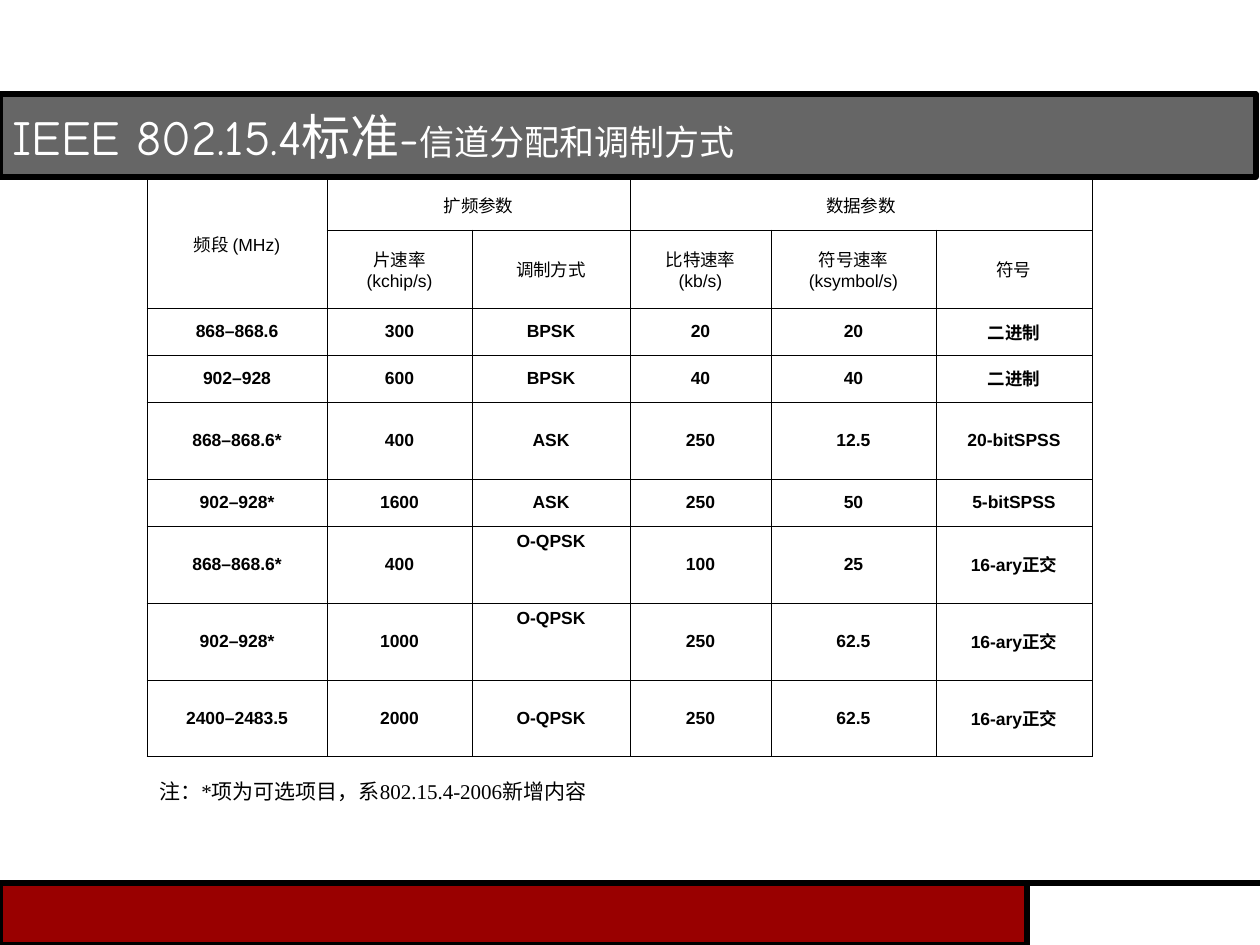
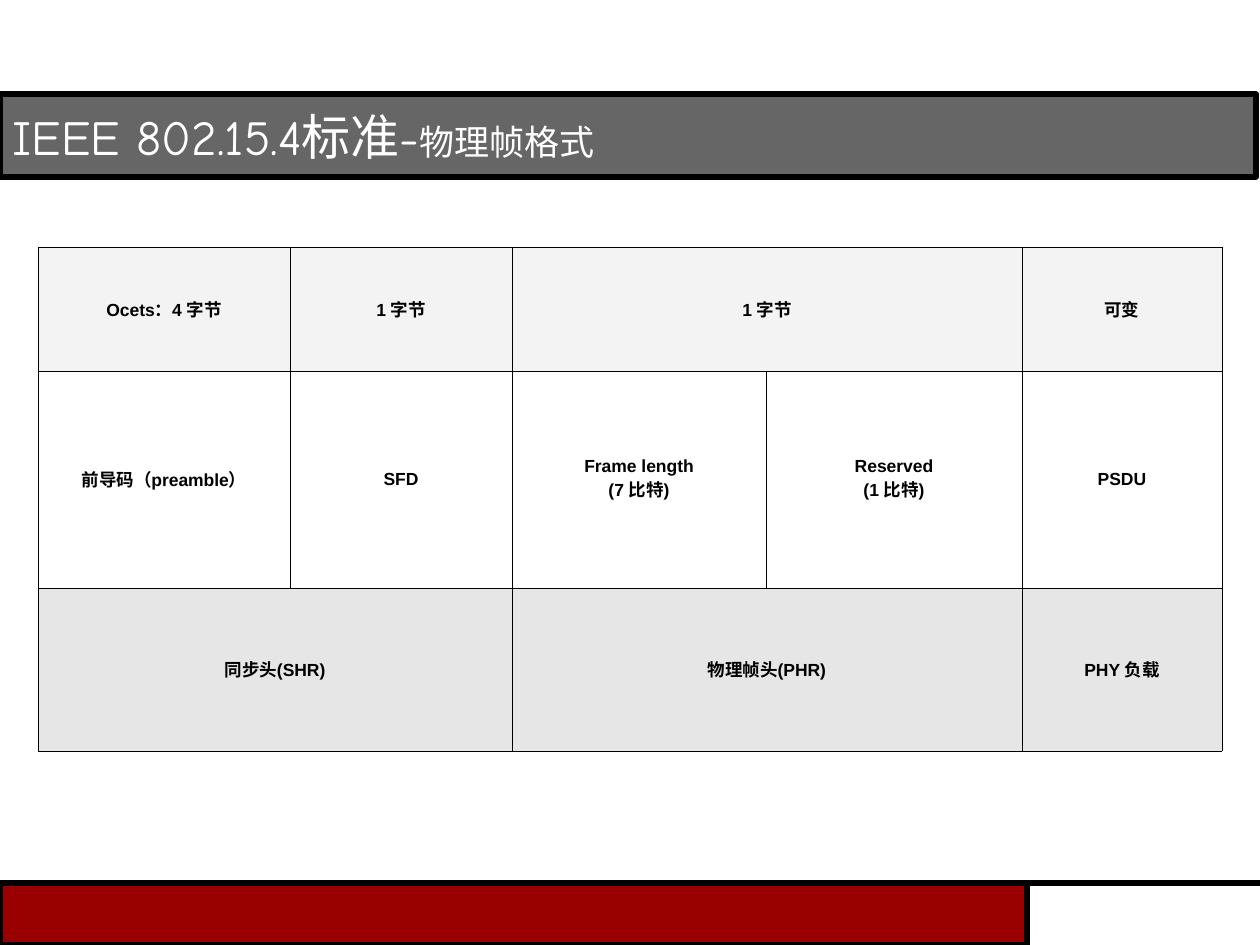
from dataclasses import dataclass

from lxml import etree
from pptx import Presentation
from pptx.dml.color import RGBColor
from pptx.enum.shapes import MSO_CONNECTOR, MSO_SHAPE
from pptx.enum.text import MSO_ANCHOR, MSO_AUTO_SIZE, PP_ALIGN
from pptx.oxml.ns import qn
from pptx.util import Pt

EMU_PER_PX = 914400 / 126
SLIDE_WIDTH, SLIDE_HEIGHT = 1260, 945
TITLE_ONLY = 5
RECTANGLE = MSO_SHAPE.RECTANGLE
STRAIGHT = MSO_CONNECTOR.STRAIGHT
MIDDLE, TOP = MSO_ANCHOR.MIDDLE, MSO_ANCHOR.TOP
LEFT, CENTER = PP_ALIGN.LEFT, PP_ALIGN.CENTER
NO_AUTOFIT, FIT_SHAPE = MSO_AUTO_SIZE.NONE, MSO_AUTO_SIZE.SHAPE_TO_FIT_TEXT


@dataclass(frozen=True)
class Theme:
    title_font: str = "Comic Neue"
    table_font: str = "Arial"
    note_font: str = "Times New Roman"
    title_size: float = 28
    subtitle_size: float = 20
    table_size: float = 10
    note_size: float = 12
    band_line: float = 3
    table_line: float = 0.45
    black: str = "000000"
    white: str = "FFFFFF"
    title_band: str = "666666"
    footer_band: str = "990000"
    light_gray: str = "F3F3F3"
    middle_gray: str = "E6E6E6"


THEME = Theme()

TITLE_BOX = (0, 94, 1256, 83)
FOOTER_BOX = (0, 883, 1027, 62)
FOOTER_RULE_START = 202

CHANNEL_BOX = (147, 179)
CHANNEL_COLUMNS = [180, 145, 158, 141, 165, 156]
SHORT_ROW, TALL_ROW = 47, 77
CHANNEL_ROWS = [51, 78, SHORT_ROW, SHORT_ROW, TALL_ROW, SHORT_ROW] + [TALL_ROW] * 3
CHANNEL_HEADER_ROWS = 2
CHANNEL_SPANS = [(0, 0, 2, 1), (0, 1, 1, 2), (0, 3, 1, 3)]
CHANNEL_TOP_CELLS = [(6, 2), (7, 2)]
CHANNEL_CELLS = [
    ["频段 (MHz)", "扩频参数", None, "数据参数", None, None],
    [None, "片速率 (kchip/s)", "调制方式", "比特速率 (kb/s)", "符号速率 (ksymbol/s)", "符号"],
    ["868–868.6", "300", "BPSK", "20", "20", "二进制"],
    ["902–928", "600", "BPSK", "40", "40", "二进制"],
    ["868–868.6*", "400", "ASK", "250", "12.5", "20-bitSPSS"],
    ["902–928*", "1600", "ASK", "250", "50", "5-bitSPSS"],
    ["868–868.6*", "400", "O-QPSK", "100", "25", "16-ary正交"],
    ["902–928*", "1000", "O-QPSK", "250", "62.5", "16-ary正交"],
    ["2400–2483.5", "2000", "O-QPSK", "250", "62.5", "16-ary正交"],
]
NOTE_BOX = (147, 772, 472, 38)
NOTE = "注：*项为可选项目，系802.15.4-2006新增内容"

FRAME_BOX = (38, 247)
FRAME_COLUMNS = [252, 222, 254, 256, 200]
FRAME_ROWS = [124, 217, 163]
FRAME_SPANS = [(0, 2, 1, 2), (2, 0, 1, 2), (2, 2, 1, 2)]
FRAME_FILLS = [THEME.light_gray, None, THEME.middle_gray]
FRAME_CELLS = [
    ["Ocets：4 字节", "1 字节", "1 字节", None, "可变"],
    ["前导码（preamble）", "SFD", "Frame length\n(7 比特)", "Reserved\n(1 比特)", "PSDU"],
    ["同步头(SHR)", None, "物理帧头(PHR)", None, "PHY 负载"],
]


def px(*lengths):
    return [round(length * EMU_PER_PX) for length in lengths]


def color(value):
    return RGBColor.from_string(value)


def add_run(paragraph, text, font, size, text_color, bold=False):
    run = paragraph.add_run()
    run.text = text
    run.font.name = font
    run.font.size = Pt(size)
    run.font.bold = bold
    run.font.color.rgb = color(text_color)


def paint_band(shape, fill):
    shape.fill.solid()
    shape.fill.fore_color.rgb = color(fill)
    set_band_line(shape)


def set_band_line(shape):
    shape.line.color.rgb = color(THEME.black)
    shape.line.width = Pt(THEME.band_line)


def add_footer(slide, box):
    """Draw the footer on the slide, then move it to the layout all slides share."""
    left, top, width, height = box
    rule = slide.shapes.add_connector(
        STRAIGHT, *px(SLIDE_WIDTH, top, FOOTER_RULE_START, top))
    set_band_line(rule)
    etree.SubElement(rule.element.spPr, qn("a:effectLst"))
    band = slide.shapes.add_shape(RECTANGLE, *px(left, top, width, height))
    band.shadow.inherit = False
    paint_band(band, THEME.footer_band)
    for shape in (rule, band):
        slide.slide_layout.shapes.element.append(shape.element)


def set_title(slide, box, subtitle):
    title = slide.shapes.title
    title.left, title.top, title.width, title.height = px(*box)
    paint_band(title, THEME.title_band)
    frame = title.text_frame
    frame.word_wrap = True
    frame.auto_size = NO_AUTOFIT
    frame.vertical_anchor = MIDDLE
    paragraph = frame.paragraphs[0]
    paragraph.alignment = LEFT
    for text, size in (("IEEE 802.15.4标准-", THEME.title_size),
                       (subtitle, THEME.subtitle_size)):
        add_run(paragraph, text, THEME.title_font, size, THEME.white)


def set_borders(graphic_frame):
    for properties in graphic_frame.element.iter(qn("a:tcPr")):
        for position, side in enumerate(("lnL", "lnR", "lnT", "lnB")):
            line = etree.Element(qn(f"a:{side}"), w=str(Pt(THEME.table_line)))
            fill = etree.SubElement(line, qn("a:solidFill"))
            etree.SubElement(fill, qn("a:srgbClr"), val=THEME.black)
            properties.insert(position, line)


def write_cell(cell, text, bold):
    frame = cell.text_frame
    for index, line in enumerate(text.split("\n")):
        paragraph = frame.add_paragraph() if index else frame.paragraphs[0]
        paragraph.alignment = CENTER
        add_run(paragraph, line, THEME.table_font, THEME.table_size, THEME.black, bold)


def add_grid(slide, box, columns, rows, cells, spans, fills, header_rows=0, top_cells=()):
    """Add a ruled table; rows below header_rows are bold, top_cells hang from the top."""
    graphic_frame = slide.shapes.add_table(
        len(rows), len(columns), *px(*box, sum(columns), sum(rows)))
    table = graphic_frame.table
    table.first_row = table.horz_banding = False
    for column, width in zip(table.columns, px(*columns)):
        column.width = width
    for row, height in zip(table.rows, px(*rows)):
        row.height = height
    for row, column, height, width in spans:
        table.cell(row, column).merge(table.cell(row + height - 1, column + width - 1))
    for row, texts in enumerate(cells):
        for column, text in enumerate(texts):
            cell = table.cell(row, column)
            cell.vertical_anchor = TOP if (row, column) in top_cells else MIDDLE
            if fills[row]:
                cell.fill.solid()
                cell.fill.fore_color.rgb = color(fills[row])
            else:
                cell.fill.background()
            if text:
                write_cell(cell, text, row >= header_rows)
    set_borders(graphic_frame)


def add_note(slide, box, text):
    frame = slide.shapes.add_textbox(*px(*box)).text_frame
    frame.word_wrap = False
    frame.auto_size = FIT_SHAPE
    frame.vertical_anchor = MIDDLE
    add_run(frame.paragraphs[0], text, THEME.note_font, THEME.note_size, THEME.black)


def build_channel_slide(slide):
    set_title(slide, TITLE_BOX, "信道分配和调制方式")
    add_grid(slide, CHANNEL_BOX, CHANNEL_COLUMNS, CHANNEL_ROWS, CHANNEL_CELLS,
             CHANNEL_SPANS, [None] * len(CHANNEL_ROWS),
             CHANNEL_HEADER_ROWS, CHANNEL_TOP_CELLS)
    add_note(slide, NOTE_BOX, NOTE)


def build_frame_slide(slide):
    set_title(slide, TITLE_BOX, "物理帧格式")
    add_grid(slide, FRAME_BOX, FRAME_COLUMNS, FRAME_ROWS, FRAME_CELLS,
             FRAME_SPANS, FRAME_FILLS)


def main():
    presentation = Presentation()
    presentation.slide_width, presentation.slide_height = px(SLIDE_WIDTH, SLIDE_HEIGHT)
    layout = presentation.slide_layouts[TITLE_ONLY]
    channel_slide, frame_slide = [presentation.slides.add_slide(layout) for _ in range(2)]
    add_footer(channel_slide, FOOTER_BOX)
    build_channel_slide(channel_slide)
    build_frame_slide(frame_slide)
    presentation.save("out.pptx")


if __name__ == "__main__":
    main()
